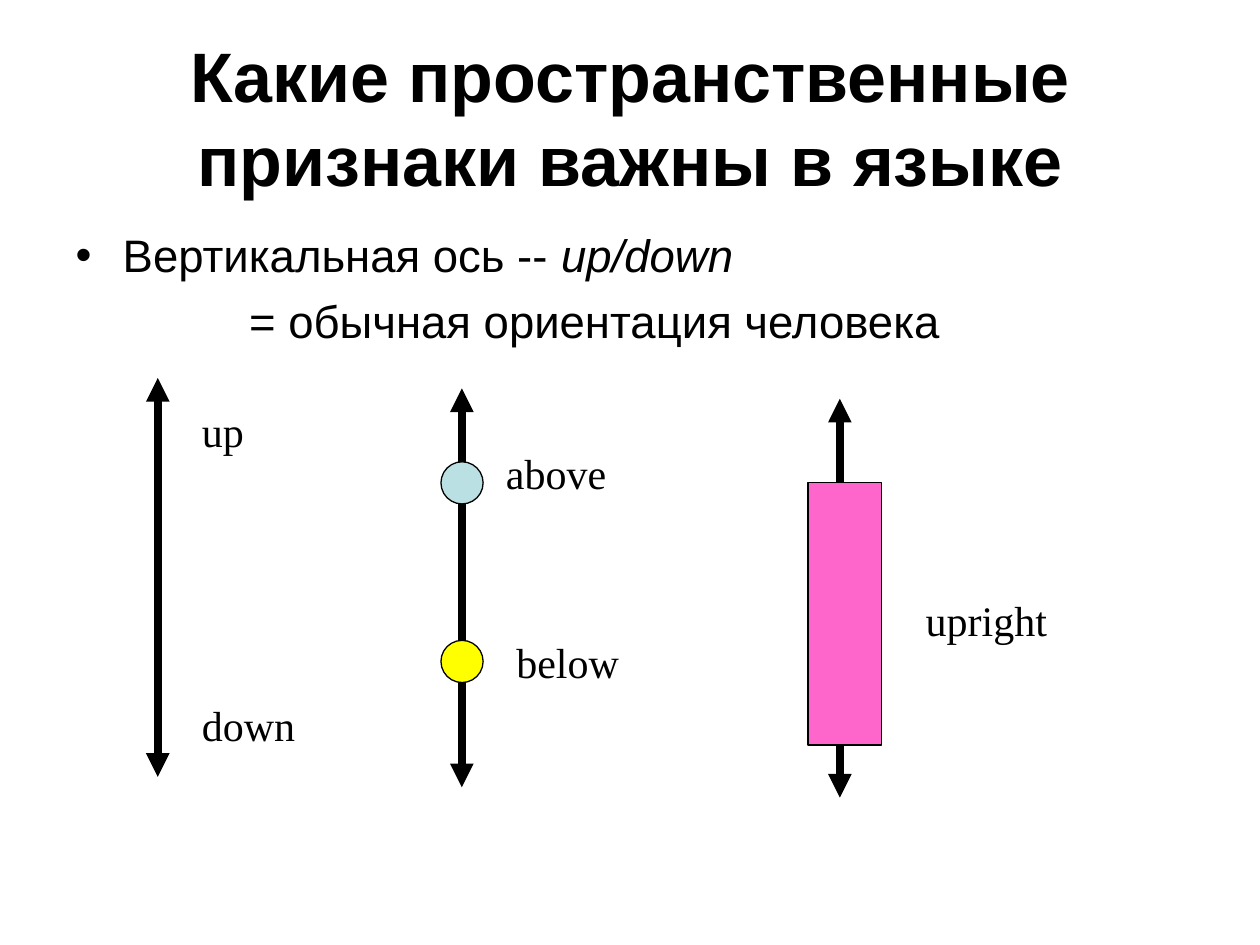
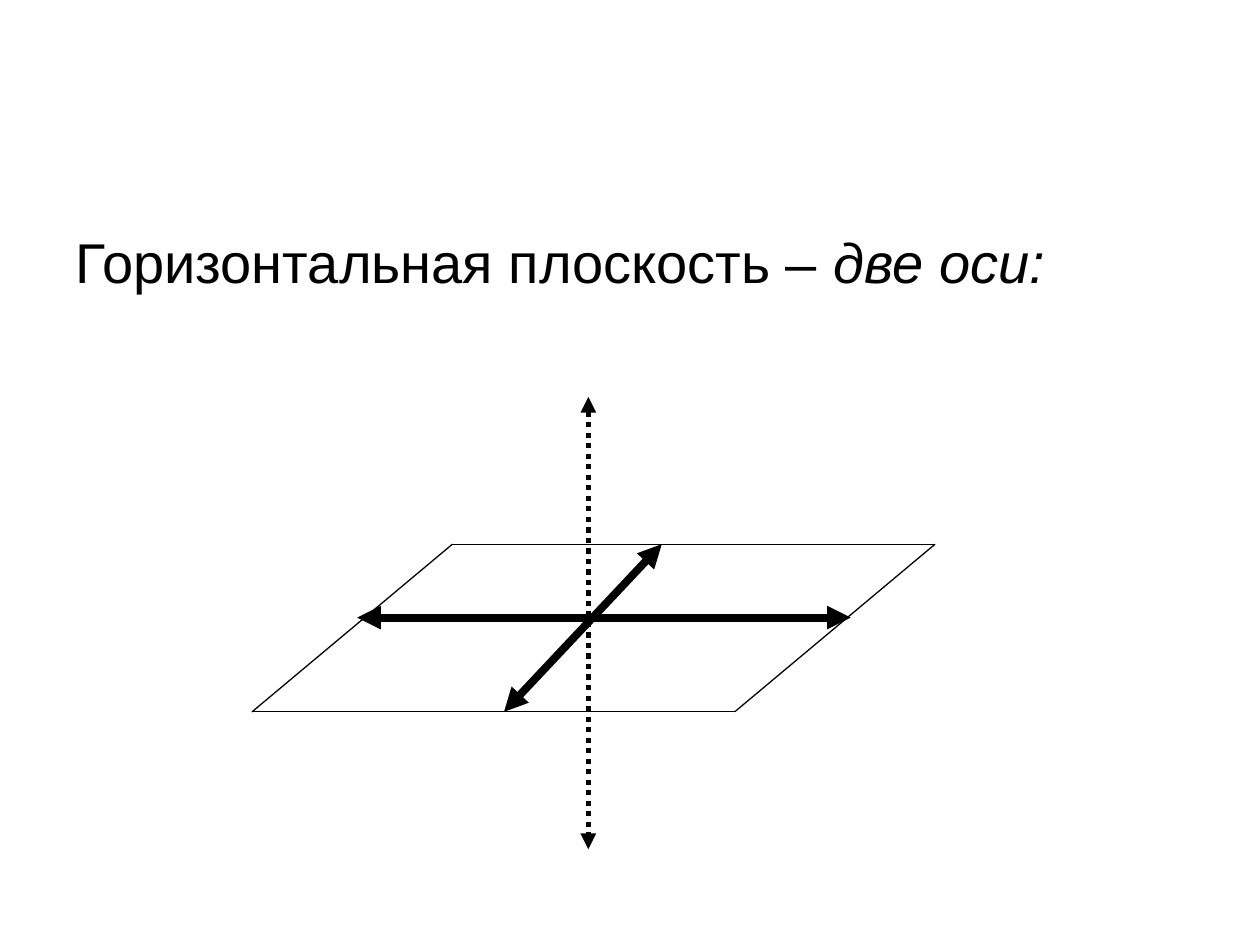
from lxml import etree
from pptx import Presentation
from pptx.dml.color import RGBColor
from pptx.enum.dml import MSO_LINE
from pptx.enum.shapes import MSO_CONNECTOR, MSO_SHAPE
from pptx.enum.text import MSO_ANCHOR, PP_ALIGN
from pptx.oxml.ns import qn
from pptx.util import Cm, Pt

STRAIGHT = MSO_CONNECTOR.STRAIGHT
OVAL, RECTANGLE = MSO_SHAPE.OVAL, MSO_SHAPE.RECTANGLE
DOTTED = MSO_LINE.ROUND_DOT
TOP, MIDDLE = MSO_ANCHOR.TOP, MSO_ANCHOR.MIDDLE
LEFT, CENTER = PP_ALIGN.LEFT, PP_ALIGN.CENTER

BLACK = RGBColor(0x00, 0x00, 0x00)
PALE_BLUE = RGBColor(0xBB, 0xE0, 0xE3)
YELLOW = RGBColor(0xFF, 0xFF, 0x00)
PINK = RGBColor(0xFF, 0x66, 0xCC)

SANS, SERIF = "Arial", "Times New Roman"
HANGING = 0.95
AXIS_HEIGHT = 8.04
AXIS_WEIGHT, THIN = 4.5, 0.75


# Shared helpers
def place(shape, left, top, width, height):
    box = {"left": left, "top": top, "width": width, "height": height}
    for side, value in box.items():
        setattr(shape, side, Cm(value))


def write(paragraph, runs, size, font=SANS, bold=False, align=LEFT, before=0):
    paragraph.alignment = align
    paragraph.space_before = Pt(before)
    for text, italic in runs:
        run = paragraph.add_run()
        run.text = text
        style = {"name": font, "size": Pt(size), "bold": bold, "italic": italic}
        for key, value in style.items():
            setattr(run.font, key, value)
        run.font.color.rgb = BLACK


def set_bullet(paragraph, margin, indent, bullet=None):
    props = paragraph._p.get_or_add_pPr()
    props.set("marL", str(Cm(margin)))
    props.set("indent", str(Cm(indent)))
    if bullet:
        etree.SubElement(props, qn("a:buChar")).set("char", bullet)
    else:
        etree.SubElement(props, qn("a:buNone"))


def draw_line(shapes, start, end, weight, arrows=True, dash=None):
    line = shapes.add_connector(STRAIGHT, *(Cm(v) for v in (*start, *end)))
    line.line.color.rgb = BLACK
    line.line.width = Pt(weight)
    if dash:
        line.line.dash_style = dash
    if arrows:
        outline = line.line._get_or_add_ln()
        for tip in ("a:headEnd", "a:tailEnd"):
            etree.SubElement(outline, qn(tip)).set("type", "triangle")
    etree.SubElement(line._element.spPr, qn("a:effectLst"))


def add_body(slide, height):
    body = slide.placeholders[1]
    place(body, 1.27, 4.45, 22.86, height)
    body.text_frame.vertical_anchor = TOP
    return body.text_frame


# Vertical axis with its figures and labels, all relative to the axis top
def draw_axis(slide, left, top, labels, figures=()):
    draw_line(slide.shapes, (left, top), (left, top + AXIS_HEIGHT), AXIS_WEIGHT)
    for kind, colour, dx, dy, width, height in figures:
        figure = slide.shapes.add_shape(
            kind, Cm(left + dx), Cm(top + dy), Cm(width), Cm(height))
        figure.shadow.inherit = False
        figure.fill.solid()
        figure.fill.fore_color.rgb = colour
        figure.line.color.rgb = BLACK
        figure.line.width = Pt(THIN)
    for text, dx, dy, width in labels:
        label = slide.shapes.add_textbox(
            Cm(left + dx), Cm(top + dy), Cm(width), Cm(1.27))
        label.text_frame.word_wrap = True
        write(label.text_frame.paragraphs[0], [(text, False)], 24, SERIF)


# Horizontal plane crossed by three axes, relative to the plane's box
def draw_plane(slide, left, top, width, height):
    slant = 4.04
    right, bottom = left + width, top + height
    axis_y = top + 1.48
    draw_line(slide.shapes, (right - 1.7, axis_y), (left + 2.12, axis_y), AXIS_WEIGHT)
    draw_line(slide.shapes, (left + 8.26, top), (left + 5.08, bottom), AXIS_WEIGHT)

    corners = [(left + slant, top), (left, bottom),
               (right - slant, bottom), (right, top)]
    outline = slide.shapes.add_group_shape()
    for start, end in zip(corners, corners[1:] + corners[:1]):
        draw_line(outline.shapes, start, end, THIN, arrows=False)

    upright_x = left + 6.78
    draw_line(slide.shapes, (upright_x, top - 2.97), (upright_x, bottom + 2.77),
              3, dash=DOTTED)


# Slides
def build_vertical_slide(prs):
    slide = prs.slides.add_slide(prs.slide_layouts[1])
    title = slide.shapes.title
    place(title, 1.27, 0.76, 22.86, 3.18)
    title.text_frame.vertical_anchor = MIDDLE
    write(title.text_frame.paragraphs[0],
          [("Какие пространственные признаки важны в языке", False)],
          40, bold=True, align=CENTER)

    body = add_body(slide, 9.07)
    set_bullet(body.paragraphs[0], HANGING, -HANGING, "•")
    write(body.paragraphs[0],
          [("Вертикальная ось -- ", False), ("up/down", True)], 26)
    meaning = body.add_paragraph()
    set_bullet(meaning, 3.5, 0)
    write(meaning, [("= обычная ориентация человека", False)], 26, before=6.5)

    draw_axis(slide, 3.18, 7.62,
              [("up", 0.64, 0.42, 2.33), ("down", 0.64, 6.35, 2.96)])
    draw_axis(slide, 9.31, 7.83,
              [("above", 0.64, 1.06, 3.18), ("below", 0.85, 4.87, 2.96)],
              [(OVAL, PALE_BLUE, -0.42, 1.48, 0.85, 0.85),
               (OVAL, YELLOW, -0.42, 5.08, 0.85, 0.85)])
    draw_axis(slide, 16.93, 8.04,
              [("upright", 1.48, 3.81, 2.96)],
              [(RECTANGLE, PINK, -0.64, 1.69, 1.48, 5.29)])


def build_horizontal_slide(prs):
    slide = prs.slides.add_slide(prs.slide_layouts[1])
    title = slide.shapes.title._element
    title.getparent().remove(title)
    heading = add_body(slide, 12.57).paragraphs[0]
    set_bullet(heading, HANGING, -HANGING)
    write(heading, [("Горизонтальная плоскость – ", False), ("две оси:", True)], 32)
    draw_plane(slide, 5.08, 10.97, 13.77, 3.38)


def main():
    prs = Presentation()
    prs.slide_width, prs.slide_height = Cm(25.4), Cm(19.05)
    build_vertical_slide(prs)
    build_horizontal_slide(prs)
    prs.save("out.pptx")


if __name__ == "__main__":
    main()
